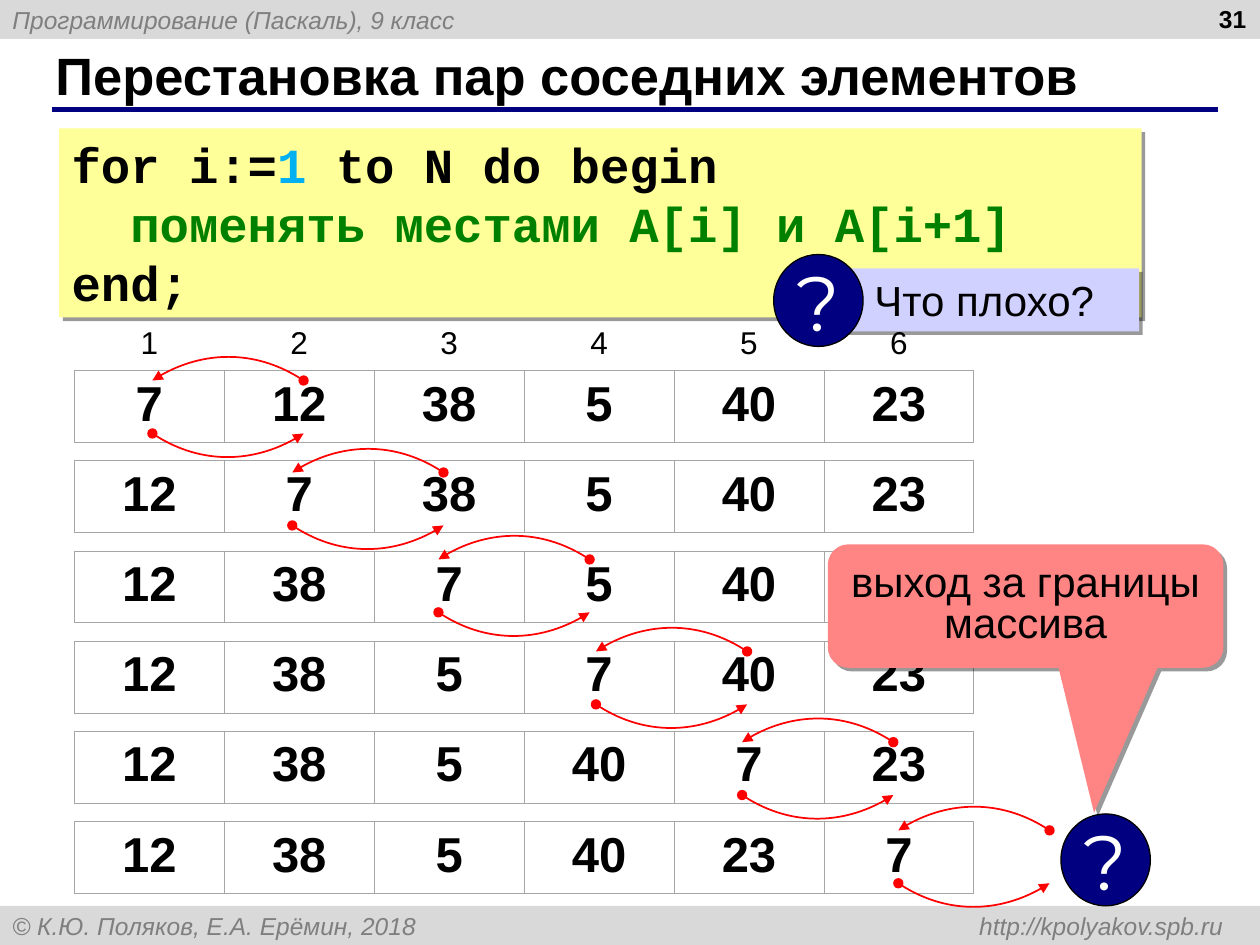
"""Build the slide on swapping neighbouring array items in Pascal."""
from pptx import Presentation, util as u
from pptx.dml.color import RGBColor
from pptx.enum import shapes as sh, text as tx
from pptx.oxml import parse_xml
from pptx.oxml.ns import nsdecls, qn

BLACK = RGBColor(0, 0, 0)
WHITE = RGBColor(255, 255, 255)
NAVY = RGBColor(0, 0, 128)
RED = RGBColor(255, 0, 0)
GREEN = RGBColor(0, 128, 0)
CYAN = RGBColor(0, 176, 240)
BAR = RGBColor(217, 217, 217)
GRAY = RGBColor(127, 127, 127)
EDGE = RGBColor(166, 166, 166)
CREAM = RGBColor(255, 255, 153)
LILAC = RGBColor(209, 209, 255)
CORAL = RGBColor(255, 133, 133)

TITLE = "Перестановка пар соседних элементов"
HEAD = "Программирование (Паскаль), 9 класс"
FOOT = "© К.Ю. Поляков, Е.А. Ерёмин, 2018\thttp://kpolyakov.spb.ru"
PAGE = "31"
CODE = [
    [("for i:=", BLACK), ("1", CYAN), (" to N do begin", BLACK)],
    [("  ", BLACK), ("поменять местами A[i] и A[i+1]", GREEN)],
    [("end;", BLACK)],
]
ASK = "Что плохо?"
NOTE = "выход за границы массива"
MOVER = "7"
OTHERS = ["12", "38", "5", "40", "23"]
SWAPS = [(1.21, 2.77), (2.32, 3.5), (3.48, 4.19),
         (4.73, 4.92), (5.89, 5.64), (7.13, 6.34)]
ARC = [(1.2, 0.25), (0.83, 0), (0.34, 0.02), (0, 0.25)]
ARC_W, ARC_H, DROP = 1.2, 0.25, 0.67
LEFT, TOP, COL, ROW, LABEL, STEP = 0.59, 2.94, 1.19, 0.57, 0.4, 0.716

LEFT_AL, MID_AL = tx.PP_ALIGN.LEFT, tx.PP_ALIGN.CENTER
KIND = sh.MSO_SHAPE


def node(xml):
    """Parse one drawing element."""
    tag, rest = xml.split(" ", 1)
    return parse_xml(f"{tag} {nsdecls('a')} {rest}")


def write(par, words, size, color, face="Arial", bold=False, slant=False):
    """Add one formatted run to a paragraph."""
    run = par.add_run()
    run.text = words
    font = run.font
    font.name, font.size, font.bold, font.italic = face, u.Pt(size), bold, slant
    font.color.rgb = color


def setup(frame, align=LEFT_AL, anchor=tx.MSO_ANCHOR.MIDDLE):
    """Prepare a text frame and return its first paragraph."""
    frame.word_wrap = True
    frame.auto_size = tx.MSO_AUTO_SIZE.NONE
    frame.vertical_anchor = anchor
    par = frame.paragraphs[0]
    par.alignment = align
    return par


def shape(slide, kind, box, fill, cast=False):
    """Add a filled preset shape, with a drop shadow if asked."""
    item = slide.shapes.add_shape(kind, *map(u.Inches, box))
    item.shadow.inherit = False
    item.fill.solid()
    item.fill.fore_color.rgb = fill
    item.line.fill.background()
    if cast:
        item.element.spPr.find(qn("a:effectLst")).append(node(
            '<a:outerShdw dist="38100" dir="2700000" algn="ctr" rotWithShape="0">'
            '<a:srgbClr val="000000"><a:alpha val="40000"/></a:srgbClr></a:outerShdw>'))
    return item


def badge(slide, left, top):
    """Add a round question mark."""
    disc = shape(slide, KIND.OVAL, (left, top, 0.71, 0.73), NAVY)
    disc.line.color.rgb, disc.line.width = BLACK, u.Pt(0.75)
    par = setup(disc.text_frame, MID_AL)
    disc.text_frame.word_wrap = False
    write(par, "?", 44, WHITE, "Montserrat")


def border(cell, sides):
    """Draw the named sides of a cell and clear the rest."""
    props = cell._tc.get_or_add_tcPr()
    for spot, side in enumerate("LRTB"):
        ink = f'<a:solidFill><a:srgbClr val="{EDGE}"/></a:solidFill>'
        ink = ink if side in sides else "<a:noFill/>"
        props.insert(spot, node(f'<a:ln{side} w="5715">{ink}</a:ln{side}>'))


def grid(slide, top, rows):
    """Add a table of rows given as (values, height, size, bold, sides)."""
    cols = len(rows[0][0])
    high = sum(row[1] for row in rows)
    box = (LEFT, top, COL * cols, high)
    table = slide.shapes.add_table(len(rows), cols, *map(u.Inches, box)).table
    table.first_row = table.horz_banding = False
    for col in table.columns:
        col.width = u.Inches(COL)
    for r, (values, tall, size, bold, sides) in enumerate(rows):
        table.rows[r].height = u.Inches(tall)
        for c, value in enumerate(values):
            cell = table.cell(r, c)
            cell.fill.background()
            border(cell, sides)
            par = cell.text_frame.paragraphs[0]
            par.alignment = MID_AL
            write(par, value, size, BLACK, bold=bold)


def arc(slide, points):
    """Add a red curved arrow through four Bezier points."""
    start, *rest = [(u.Inches(x), u.Inches(y)) for x, y in points]
    form = slide.shapes.build_freeform(*start)
    form.add_line_segments(rest, close=False)
    curve = form.convert_to_shape()
    curve.shadow.inherit = False
    curve.fill.background()
    curve.line.color.rgb, curve.line.width = RED, u.Pt(1)
    pen = curve.element.spPr.find(qn("a:ln"))
    pen.append(node('<a:headEnd type="oval"/>'))
    pen.append(node('<a:tailEnd type="triangle"/>'))
    lines = curve.element.xpath(".//a:lnTo")
    bend = node("<a:cubicBezTo />")
    lines[0].addprevious(bend)
    for line in lines:
        bend.append(line[0])
        line.getparent().remove(line)


def main():
    """Lay out and save the slide."""
    deck = Presentation()
    deck.slide_width, deck.slide_height = u.Inches(10), u.Inches(7.5)
    slide = deck.slides.add_slide(deck.slide_layouts[5])

    for top, words in ((0, HEAD), (7.19, FOOT)):
        bar = shape(slide, KIND.RECTANGLE, (0, top, 10, 0.31), BAR)
        par = setup(bar.text_frame)
        if "\t" in words:
            par._p.get_or_add_pPr().append(node(
                f'<a:tabLst ><a:tab pos="{u.Inches(9.61)}" algn="r"/></a:tabLst>'))
        write(par, words, 14, GRAY, slant=True)

    rule = slide.shapes.add_connector(
        sh.MSO_CONNECTOR.STRAIGHT, *map(u.Inches, (0.41, 0.87, 9.67, 0.87)))
    rule.line.color.rgb, rule.line.width = NAVY, u.Pt(3)
    rule.element.spPr.append(node("<a:effectLst />"))

    title = slide.shapes.title
    title.left, title.top, title.width, title.height = map(
        u.Inches, (0.34, 0.33, 9.16, 0.52))
    write(setup(title.text_frame), TITLE, 30, BLACK, bold=True)

    page = slide.shapes.add_textbox(*map(u.Inches, (7.66, -0.02, 2.33, 0.52)))
    par = setup(page.text_frame, tx.PP_ALIGN.RIGHT, tx.MSO_ANCHOR.TOP)
    write(par, PAGE, 14, BLACK, bold=True)

    code = shape(slide, KIND.RECTANGLE, (0.47, 1.02, 8.59, 1.5), CREAM, True)
    frame = code.text_frame
    par = setup(frame, tx.PP_ALIGN.JUSTIFY, tx.MSO_ANCHOR.TOP)
    frame.margin_right = 0
    for n, line in enumerate(CODE):
        par = frame.add_paragraph() if n else par
        par.alignment = tx.PP_ALIGN.JUSTIFY
        for words, color in line:
            write(par, words, 28, color, "Courier New", True)

    ask = shape(slide, KIND.RECTANGLE, (6.65, 2.13, 2.39, 0.5), LILAC, True)
    par = setup(ask.text_frame, anchor=tx.MSO_ANCHOR.TOP)
    ask.text_frame.margin_left = u.Inches(0.29)
    write(par, ASK, 24, BLACK)
    badge(slide, 6.14, 2.02)

    labels = [str(n + 1) for n in range(len(OTHERS) + 1)]
    for n, (x, y) in enumerate(SWAPS):
        rows = [(OTHERS[:n] + [MOVER] + OTHERS[n:], ROW, 28, True, "LRTB")]
        top = TOP + n * STEP
        if n == 0:
            rows.insert(0, (labels, LABEL, 18, False, "B"))
            top -= LABEL
        grid(slide, top, rows)
        arc(slide, [(x + dx, y + dy) for dx, dy in ARC])
        arc(slide, [(x + ARC_W - dx, y + DROP + ARC_H - dy) for dx, dy in ARC])

    badge(slide, 8.42, 6.46)
    note = shape(slide, KIND.ROUNDED_RECTANGULAR_CALLOUT,
                 (6.57, 4.32, 3.14, 0.98), CORAL, True)
    for n, value in enumerate((0.173, 1.675, 0.167)):
        note.adjustments[n] = value
    par = setup(note.text_frame, MID_AL)
    par.line_spacing = 0.8
    write(par, NOTE, 24, BLACK)

    deck.save("out.pptx")


if __name__ == "__main__":
    main()
